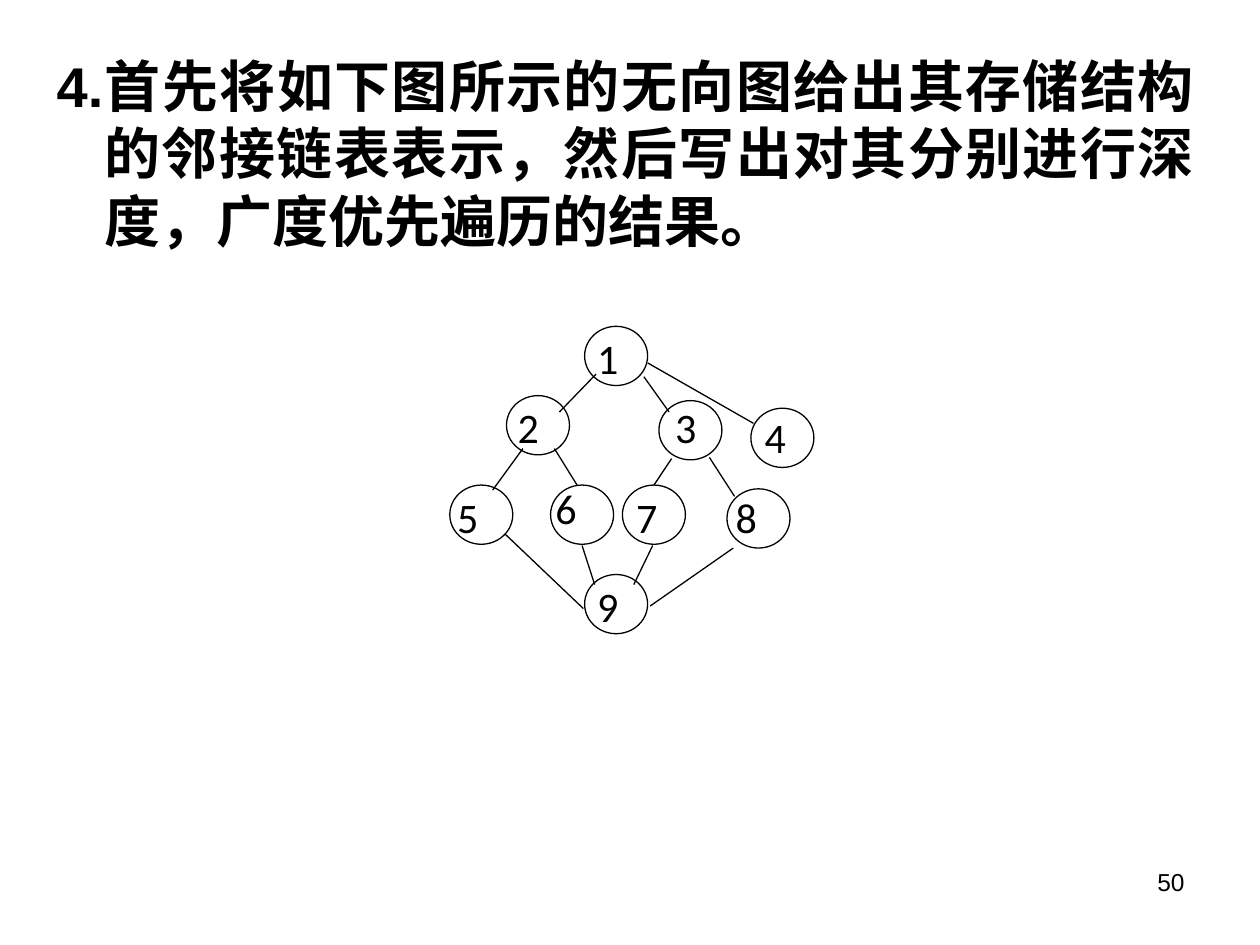
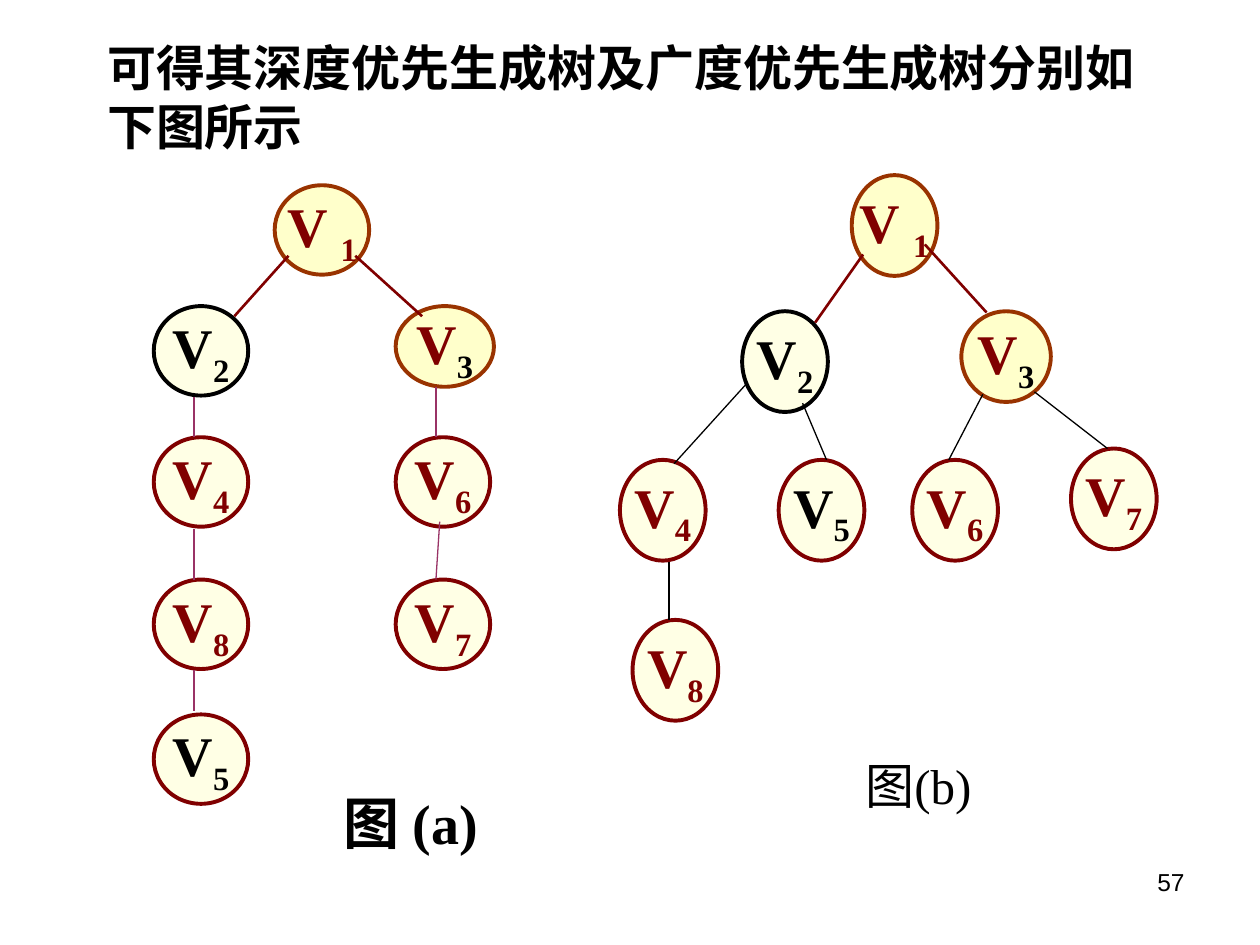
"""Build two slides on graph traversal: an undirected graph and its two spanning trees."""
from dataclasses import dataclass
from typing import Any, NamedTuple

from lxml import etree
from pptx import Presentation
from pptx import util as u
from pptx.dml import color
from pptx.enum import shapes, text
from pptx.oxml import ns


@dataclass(frozen=True)
class Theme:
    black: str = "000000"
    white: str = "FFFFFF"
    maroon: str = "800000"
    brown: str = "993300"
    plum: str = "993366"
    yellow: str = "FFFF99"
    cream: str = "FFFFCC"
    sans: str = "Arial"
    serif: str = "Times New Roman"
    digits: str = "Calibri"
    large: int = 32
    medium: int = 28
    label: int = 24
    small: int = 14
    thin: float = 0.75
    edge: float = 1.5
    outline: float = 2.25


THEME = Theme()


class Frame(NamedTuple):
    left: float
    top: float
    width: float
    height: float


class Style(NamedTuple):
    font: str
    size: int
    bold: bool = False
    ink: str = THEME.black


class Edge(NamedTuple):
    x1: float
    y1: float
    x2: float
    y2: float
    ink: str = THEME.black
    width: float = THEME.thin


class GraphNode(NamedTuple):
    number: int
    left: float
    top: float
    label_left: float
    label_top: float


class Look(NamedTuple):
    fill: str
    line: str
    ink: str
    index_ink: str


class TreeNode(NamedTuple):
    number: int
    frame: Frame
    look: Look


ROOT = Look(THEME.yellow, THEME.brown, THEME.maroon, THEME.maroon)
RIGHT = ROOT._replace(index_ink=THEME.black)
LEFT = Look(THEME.cream, THEME.black, THEME.black, THEME.black)
PLAIN = Look(THEME.cream, THEME.maroon, THEME.maroon, THEME.maroon)
DARK = Look(THEME.cream, THEME.maroon, THEME.black, THEME.black)

CIRCLE = (0.5, 0.47)
LABEL = (0.99, 0.92)
GRAPH_NODES = [
    GraphNode(1, 4.64, 2.59, 4.64, 2.59),
    GraphNode(2, 4.02, 3.14, 4.01, 3.14),
    GraphNode(3, 5.23, 3.18, 5.26, 3.14),
    GraphNode(4, 5.96, 3.24, 5.97, 3.22),
    GraphNode(5, 3.57, 3.85, 3.53, 3.85),
    GraphNode(6, 4.37, 3.85, 4.31, 3.78),
    GraphNode(7, 4.94, 3.85, 4.95, 3.85),
    GraphNode(8, 5.77, 3.88, 5.74, 3.85),
    GraphNode(9, 4.64, 4.56, 4.64, 4.56),
]
GRAPH_EDGES = [
    Edge(4.73, 2.97, 4.44, 3.27),
    Edge(5.11, 2.99, 5.31, 3.27),
    Edge(5.14, 2.88, 5.98, 3.36),
    Edge(4.15, 3.56, 3.91, 3.89),
    Edge(4.4, 3.56, 4.58, 3.85),
    Edge(5.33, 3.64, 5.19, 3.85),
    Edge(5.63, 3.63, 5.83, 3.94),
    Edge(4.01, 4.24, 4.63, 4.83),
    Edge(4.62, 4.33, 4.72, 4.64),
    Edge(5.18, 4.33, 5.03, 4.64),
    Edge(5.82, 4.35, 5.16, 4.81),
]

DEPTH_SIZE = (0.75, 0.71)
DEPTH_LEFT, DEPTH_RIGHT = 1.22, 3.14
DEPTH_NODES = [
    TreeNode(3, Frame(DEPTH_RIGHT, 2.43, 0.78, 0.64), RIGHT),
    TreeNode(1, Frame(2.18, 1.47, *DEPTH_SIZE), ROOT),
    TreeNode(2, Frame(DEPTH_LEFT, 2.43, *DEPTH_SIZE), LEFT),
    TreeNode(4, Frame(DEPTH_LEFT, 3.47, *DEPTH_SIZE), PLAIN),
    TreeNode(8, Frame(DEPTH_LEFT, 4.6, *DEPTH_SIZE), PLAIN),
    TreeNode(5, Frame(DEPTH_LEFT, 5.67, *DEPTH_SIZE), DARK),
    TreeNode(6, Frame(DEPTH_RIGHT, 3.47, *DEPTH_SIZE), PLAIN),
    TreeNode(7, Frame(DEPTH_RIGHT, 4.6, *DEPTH_SIZE), PLAIN),
]
DEPTH_EDGES = [
    Edge(2.82, 2.03, 3.35, 2.51, THEME.maroon, THEME.edge),
    Edge(2.29, 2.03, 1.86, 2.51, THEME.maroon, THEME.edge),
    Edge(1.54, 3.15, 1.54, 3.47, THEME.plum),
    Edge(1.54, 4.2, 1.54, 4.6, THEME.plum),
    Edge(1.54, 5.32, 1.54, 5.64, THEME.plum),
    Edge(3.46, 3.07, 3.46, 3.47, THEME.plum),
    Edge(3.49, 4.14, 3.46, 4.6, THEME.plum),
]

BREADTH_SIZE = (0.68, 0.8)
BREADTH_NODES = [
    TreeNode(3, Frame(7.63, 2.47, 0.71, 0.72), RIGHT),
    TreeNode(1, Frame(6.76, 1.39, *BREADTH_SIZE), ROOT),
    TreeNode(2, Frame(5.89, 2.47, *BREADTH_SIZE), LEFT),
    TreeNode(4, Frame(4.92, 3.65, *BREADTH_SIZE), PLAIN),
    TreeNode(8, Frame(5.02, 4.92, *BREADTH_SIZE), PLAIN),
    TreeNode(5, Frame(6.18, 3.65, *BREADTH_SIZE), DARK),
    TreeNode(6, Frame(7.24, 3.65, *BREADTH_SIZE), PLAIN),
    TreeNode(7, Frame(8.5, 3.56, *BREADTH_SIZE), PLAIN),
]
BREADTH_EDGES = [
    Edge(7.34, 1.94, 7.83, 2.48, THEME.maroon, THEME.edge),
    Edge(6.85, 2.02, 6.47, 2.56, THEME.maroon, THEME.edge),
    Edge(5.93, 3.04, 5.35, 3.68),
    Edge(6.37, 3.2, 6.56, 3.65),
    Edge(7.8, 3.13, 7.53, 3.65),
    Edge(8.21, 3.11, 8.79, 3.56),
    Edge(5.31, 4.46, 5.31, 4.92),
]


def inches(values: tuple) -> list:
    return [u.Inches(value) for value in values]


def rgb(value: str) -> color.RGBColor:
    return color.RGBColor.from_string(value)


def apply(target: Any, values: dict) -> None:
    for name, value in values.items():
        setattr(target, name, value)


def add_span(para: Any, words: str, style: Style) -> Any:
    span = para.add_run()
    span.text = words
    apply(span.font, {"name": style.font, "size": u.Pt(style.size), "bold": style.bold})
    span.font.color.rgb = rgb(style.ink)
    return span


def add_label(target: Any, frame: Frame, words: str, style: Style,
              align: Any = text.PP_ALIGN.LEFT, wrap: bool = True) -> None:
    box = target.add_textbox(*inches(frame))
    box.text_frame.word_wrap = wrap
    para = box.text_frame.paragraphs[0]
    para.alignment = align
    add_span(para, words, style)


def add_oval(target: Any, frame: Frame, fill: str, line: str, width: float) -> Any:
    oval = target.add_shape(shapes.MSO_SHAPE.OVAL, *inches(frame))
    oval.shadow.inherit = False
    oval.fill.solid()
    oval.fill.fore_color.rgb = rgb(fill)
    oval.line.color.rgb = rgb(line)
    oval.line.width = u.Pt(width)
    return oval


def add_edge(target: Any, edge: Edge) -> None:
    line = target.add_connector(shapes.MSO_CONNECTOR.STRAIGHT, *inches(edge[:4]))
    line.line.color.rgb = rgb(edge.ink)
    line.line.width = u.Pt(edge.width)
    etree.SubElement(line._element.spPr, ns.qn("a:effectLst"))


def add_graph_node(target: Any, node: GraphNode) -> None:
    add_oval(target, Frame(node.left, node.top, *CIRCLE), THEME.white, THEME.black, THEME.thin)
    add_label(target, Frame(node.label_left, node.label_top, *LABEL), str(node.number),
              Style(THEME.digits, THEME.label))


def add_tree_node(target: Any, node: TreeNode) -> None:
    look = node.look
    oval = add_oval(target, node.frame, look.fill, look.line, THEME.outline)
    tint = oval._element.spPr.find(ns.qn("a:solidFill"))[0]
    etree.SubElement(tint, ns.qn("a:alpha"), val="50000")
    apply(oval.text_frame, {"word_wrap": False, "vertical_anchor": text.MSO_ANCHOR.MIDDLE})
    para = oval.text_frame.paragraphs[0]
    para.alignment = text.PP_ALIGN.CENTER
    style = Style(THEME.serif, THEME.large, True, look.ink)
    add_span(para, "V " if node.number == 1 else "V", style)
    index = add_span(para, str(node.number), style._replace(ink=look.index_ink))
    index._r.get_or_add_rPr().set("baseline", "-25000")


def add_diagram(page: Any, nodes: list, edges: list, draw_node: Any) -> None:
    group = page.shapes.add_group_shape().shapes
    for node in nodes:
        draw_node(group, node)
    for edge in edges:
        add_edge(group, edge)


def add_page(deck: Any, title: str, frame: Frame, style: Style, number: int) -> Any:
    page = deck.slides.add_slide(deck.slide_layouts[5])
    box = page.shapes.title
    apply(box, dict(zip(("left", "top", "width", "height"), inches(frame))))
    apply(box.text_frame, {"word_wrap": True, "auto_size": text.MSO_AUTO_SIZE.NONE,
                           "vertical_anchor": text.MSO_ANCHOR.TOP})
    para = box.text_frame.paragraphs[0]
    para.alignment = text.PP_ALIGN.LEFT
    add_span(para, title, style)
    add_label(page.shapes, Frame(7.17, 6.83, 2.33, 0.52), str(number),
              Style(THEME.sans, THEME.small), text.PP_ALIGN.RIGHT)
    return page


def build_graph_page(deck: Any) -> None:
    page = add_page(
        deck,
        "4.首先将如下图所示的无向图给出其存储结构的邻接链表表示，然后写出对其分别进行深度，广度优先遍历的结果。",
        Frame(0.35, 0.36, 9.23, 0.98), Style(THEME.sans, THEME.large, True), 50)
    para = page.shapes.title.text_frame.paragraphs[0]
    para.alignment = text.PP_ALIGN.JUSTIFY
    hang = u.Inches(0.38)
    for name, value in {"marL": hang, "indent": -hang}.items():
        para._p.get_or_add_pPr().set(name, str(value))
    add_diagram(page, GRAPH_NODES, GRAPH_EDGES, add_graph_node)


def build_tree_page(deck: Any) -> None:
    page = add_page(deck, "可得其深度优先生成树及广度优先生成树分别如下图所示",
                    Frame(0.75, 0.25, 8.5, 1.04), Style(THEME.serif, THEME.medium, True), 57)
    add_diagram(page, BREADTH_NODES, BREADTH_EDGES, add_tree_node)
    add_diagram(page, DEPTH_NODES, DEPTH_EDGES, add_tree_node)
    add_label(page.shapes, Frame(2.63, 6.21, 1.37, 0.64), "图 (a)",
              Style(THEME.serif, THEME.large, True), wrap=False)
    add_label(page.shapes, Frame(6.77, 5.95, 1.13, 0.57), "图(b)",
              Style(THEME.serif, THEME.medium), wrap=False)


def main() -> None:
    deck = Presentation()
    apply(deck, {"slide_width": u.Inches(10), "slide_height": u.Inches(7.5)})
    build_graph_page(deck)
    build_tree_page(deck)
    deck.save("out.pptx")


if __name__ == "__main__":
    main()
